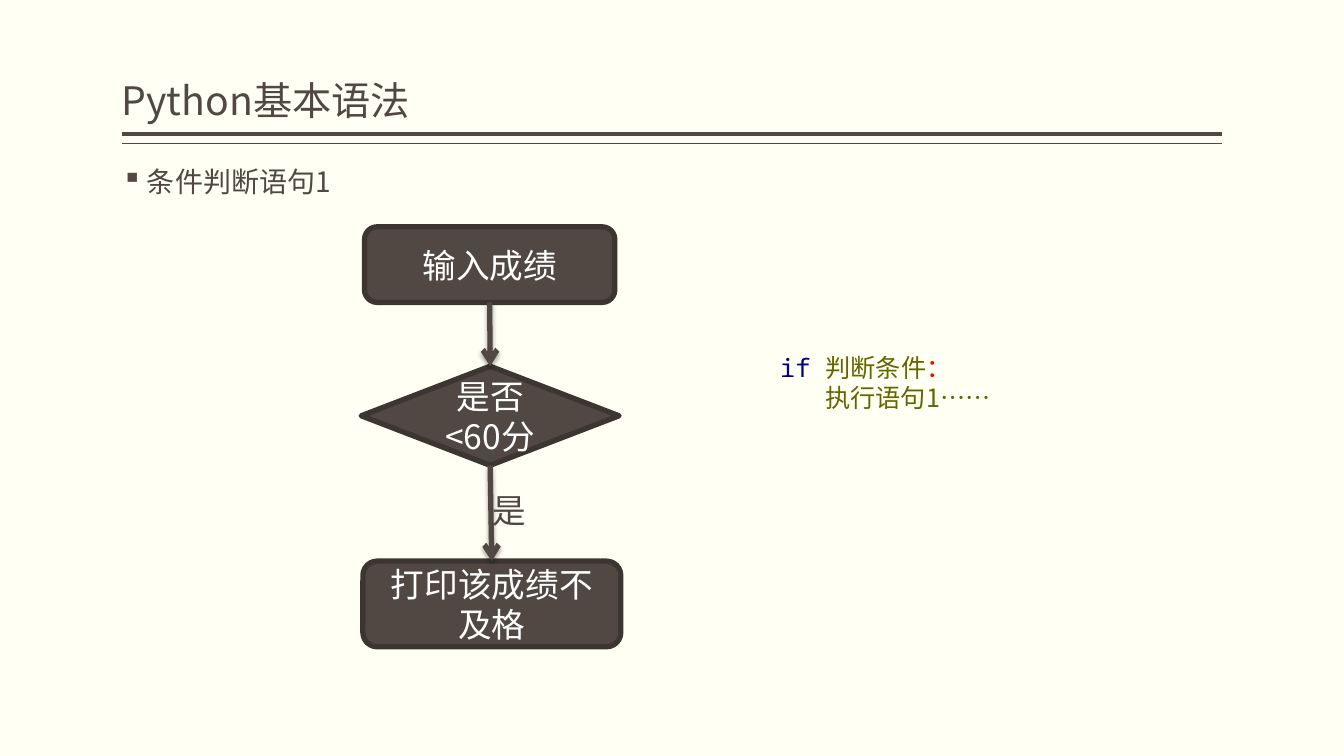
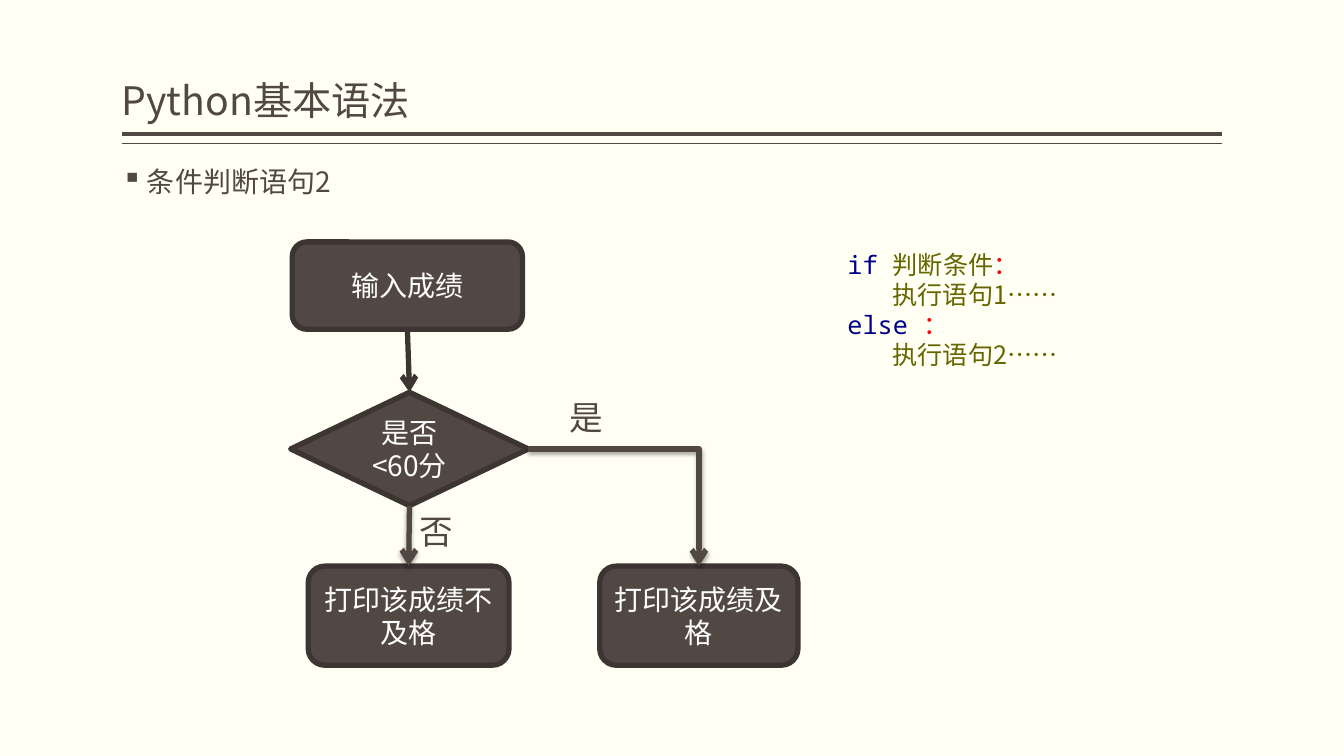
from lxml import etree
from pptx import Presentation
from pptx import util as u
from pptx.dml.color import RGBColor
from pptx.enum import shapes, text
from pptx.oxml import parse_xml
from pptx.oxml.ns import nsdecls, qn

SANS, MONO = "Noto Sans CJK SC", "Noto Sans Mono"
BACK, INK, EDGE, WHITE = "FFFFF3", "514843", "3C3532", "FFFFFF"
BLUE, OLIVE, RED = "000088", "666600", "FF0000"
SHADOW = (
    f'<a:effectLst {nsdecls("a")}><a:outerShdw blurRad="44450" dist="25400" '
    'dir="5400000" rotWithShape="0"><a:srgbClr val="000000">'
    '<a:alpha val="38000"/></a:srgbClr></a:outerShdw></a:effectLst>'
)
BOX = shapes.MSO_SHAPE.ROUNDED_RECTANGLE
TEST = shapes.MSO_SHAPE.DIAMOND
LINE, BENT = shapes.MSO_CONNECTOR.STRAIGHT, shapes.MSO_CONNECTOR.ELBOW
TOP, BASE, RIGHT = 0, 2, 3  # connection sites
IF = [("if ", BLUE, MONO), ("判断条件", OLIVE, MONO), ("：", RED, MONO)]
ELSE = [("else ", BLUE, MONO), ("：", RED, MONO)]
DO1, DO2 = ([(f"        执行语句{n}……", OLIVE, SANS)] for n in (1, 2))

# Places are columns and rows of a grid, 160 by 90 on the slide.
PAGES = [
    {
        "head": "条件判断语句1",
        "size": 24,
        "nodes": [
            (BOX, "输入成绩", (43.4, 27, 29.8, 9)),
            (TEST, "是否<60分", (43, 43.6, 30.7, 11.8)),
            (BOX, "打印该成绩不及格", (43.2, 66.8, 30.7, 10.2)),
        ],
        "links": [(LINE, 0, BASE, 1, INK), (LINE, 1, BASE, 2, INK)],
        "tags": [("是", (57.4, 57.7, 7, 6))],
        "code": ([IF, DO1], (91.7, 40.1, 33, 10.8)),
    },
    {
        "head": "条件判断语句2",
        "size": 20,
        "nodes": [
            (BOX, "输入成绩", (34.8, 28.8, 27.4, 10.4)),
            (TEST, "是否<60分", (34.6, 46.7, 28.3, 13.5)),
            (BOX, "打印该成绩不及格", (36.7, 67.4, 23.9, 11.8)),
            (BOX, "打印该成绩及格", (71.4, 67.4, 23.6, 11.8)),
        ],
        "links": [
            (LINE, 0, BASE, 1, EDGE),
            (LINE, 1, BASE, 2, INK),
            (BENT, 1, RIGHT, 3, INK),
        ],
        "tags": [("是", (66.6, 46.7, 7, 6)), ("否", (48.8, 60.2, 7, 6))],
        "code": ([IF, DO1, ELSE, DO2], (99.7, 27.8, 33, 18.1)),
    },
]

deck = Presentation()
deck.slide_width, deck.slide_height = u.Inches(13.33), u.Inches(7.5)
COL, ROW = deck.slide_width / 160, deck.slide_height / 90


def hue(code):
    return RGBColor.from_string(code)


def write(shape, lines, size, pads=(0.1, 0.05), anchor=text.MSO_ANCHOR.TOP):
    """Fill a shape with lines, each a list of (words, colour, font)."""
    frame = shape.text_frame
    frame.word_wrap = True
    frame.vertical_anchor = anchor
    frame.margin_left = frame.margin_right = u.Inches(pads[0])
    frame.margin_top = frame.margin_bottom = u.Inches(pads[1])
    for i, line in enumerate(lines):
        para = frame.add_paragraph() if i else frame.paragraphs[0]
        for words, tint, face in line:
            run = para.add_run()
            run.text = words
            run.font.size = u.Pt(size)
            run.font.color.rgb = hue(tint)
            run.font.name = face
            east = etree.SubElement(run.font._element, qn("a:ea"))
            east.set("typeface", SANS)
    return frame


fill = deck.slide_master.background.fill
fill.solid()
fill.fore_color.rgb = hue(BACK)

for page in PAGES:
    slide = deck.slides.add_slide(deck.slide_layouts[6])
    # Grid places become lengths once per page.
    place = lambda spot: [int(n * unit) for n, unit in zip(spot, (COL, ROW) * 2)]
    pool = slide.shapes

    for row, width in ((16, 3), (17.1, 1)):
        rule = pool.add_connector(LINE, *place((14.5, row, 145.5, row)))
        rule.line.color.rgb = hue(INK)
        rule.line.width = u.Pt(width)
        etree.SubElement(rule._element.spPr, qn("a:effectLst"))

    title = pool.add_textbox(*place((14.5, 1, 131, 14.4)))
    frame = write(title, [[("Python基本语法", INK, SANS)]], 28, (0, 0.05),
                  text.MSO_ANCHOR.BOTTOM)
    frame.paragraphs[0].line_spacing = 0.9

    head = pool.add_textbox(*place((14.5, 19.4, 29, 7.7)))
    para = write(head, [[(page["head"], INK, SANS)]], 20, (0, 0.05)).paragraphs[0]
    para.line_spacing = 0.9
    props = para._p.get_or_add_pPr()
    props.set("marL", str(u.Inches(0.25)))
    props.set("indent", str(u.Inches(-0.25)))
    etree.SubElement(props, qn("a:buChar")).set("char", "▪")

    nodes = []
    for kind, words, spot in page["nodes"]:
        node = pool.add_shape(kind, *place(spot))
        node.shadow.inherit = False
        node.fill.solid()
        node.fill.fore_color.rgb = hue(INK)
        node.line.color.rgb = hue(EDGE)
        node.line.width = u.Pt(3.78)
        frame = write(node, [[(words, WHITE, SANS)]], page["size"],
                      anchor=text.MSO_ANCHOR.MIDDLE)
        frame.paragraphs[0].alignment = text.PP_ALIGN.CENTER
        nodes.append(node)

    for kind, start, site, end, tint in page["links"]:
        link = pool.add_connector(kind, 0, 0, 0, 0)
        link.begin_connect(nodes[start], site)
        link.end_connect(nodes[end], TOP)
        link.line.color.rgb = hue(tint)
        link.line.width = u.Pt(3.78)
        props = link._element.spPr
        etree.SubElement(props.find(qn("a:ln")), qn("a:tailEnd")).set("type", "arrow")
        if kind == BENT:
            props.find(qn("a:prstGeom")).set("prst", "bentConnector2")
        if tint == INK:
            props.append(parse_xml(SHADOW))
        else:
            etree.SubElement(props, qn("a:effectLst"))

    for words, spot in page["tags"]:
        tag = pool.add_textbox(*place(spot))
        write(tag, [[(words, INK, SANS)]], 24).word_wrap = False

    lines, spot = page["code"]
    write(pool.add_textbox(*place(spot)), lines, 18, (0.1, 0.15),
          text.MSO_ANCHOR.MIDDLE)

deck.save("out.pptx")
